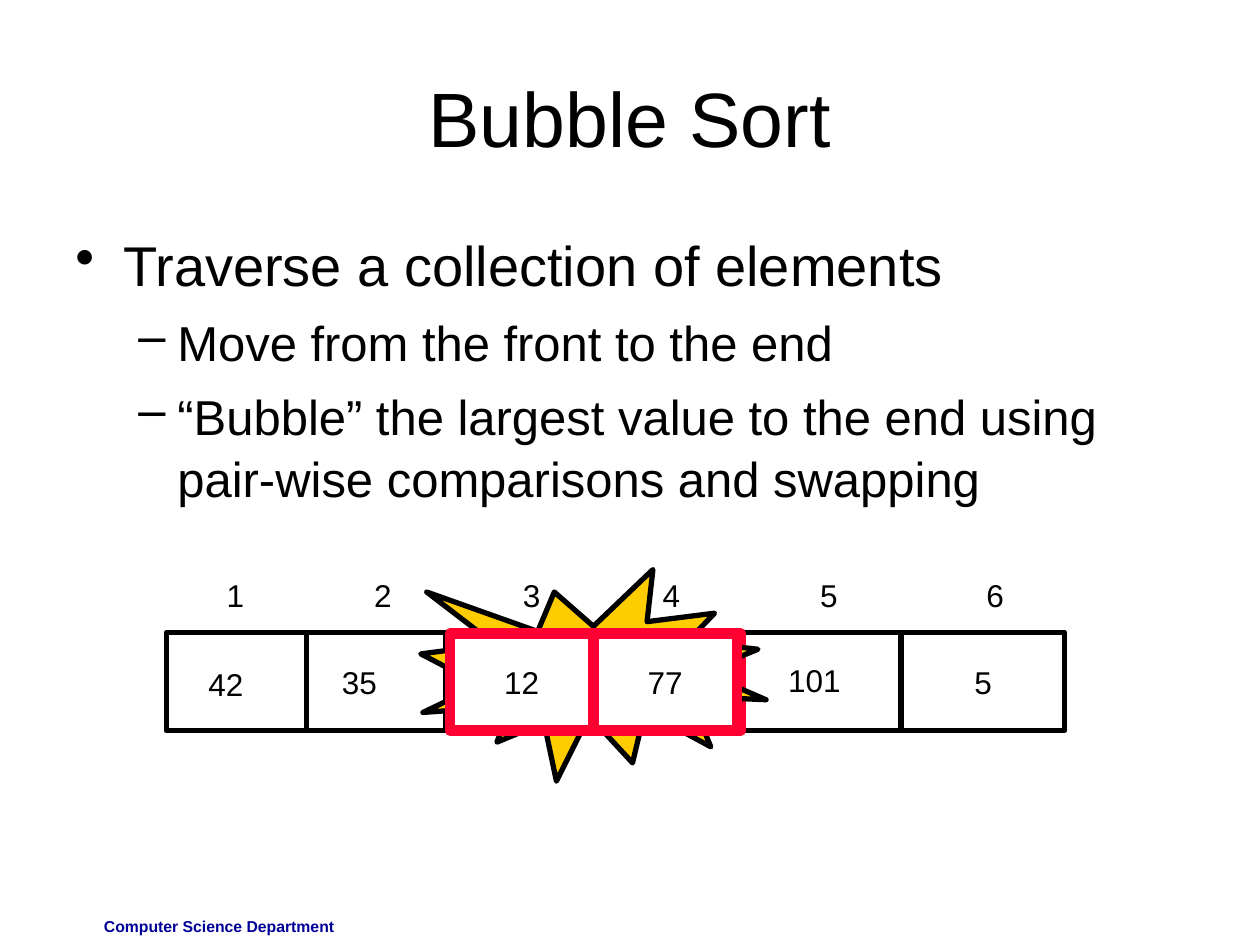
from lxml import etree
from pptx import Presentation
from pptx.dml.color import RGBColor
from pptx.enum.shapes import MSO_CONNECTOR, MSO_SHAPE
from pptx.enum.text import MSO_ANCHOR, PP_ALIGN
from pptx.oxml.ns import qn
from pptx.util import Inches, Pt

LEFT, CENTER, RIGHT = PP_ALIGN.LEFT, PP_ALIGN.CENTER, PP_ALIGN.RIGHT
MIDDLE = MSO_ANCHOR.MIDDLE
RECTANGLE, BURST = MSO_SHAPE.RECTANGLE, MSO_SHAPE.EXPLOSION1
STRAIGHT = MSO_CONNECTOR.STRAIGHT

COLORS = {"ink": "000000", "paper": "FFFFFF", "footer": "000099",
          "burst": "FFCC00", "swap": "FF0033"}
FONT = "Arial"

# Array geometry in inches: cell edges from left to right
EDGES = [1.32, 2.43, 3.54, 4.68, 5.89, 7.15, 8.45]
ARRAY_TOP, ARRAY_HEIGHT = 5.02, 0.78
# Right edge, top and text of each loose value
VALUES = [(2.03, 5.23, "42"), (3.09, 5.21, "35"),
          (6.77, 5.2, "101"), (7.97, 5.21, "5")]
INDEX_TABS = [1.24, 2.42, 3.53, 4.78, 6.1]

# Level: size, text indent, bullet offset, space before, bullet
LEVELS = [(32, 0.38, -0.38, 0, "•"), (28, 0.81, -0.31, 7, "–")]
BULLETS = [
    (0, "Traverse a collection of elements"),
    (1, "Move from the front to the end"),
    (1, "“Bubble” the largest value to the end using pair-wise comparisons "
        "and swapping"),
]


def color(name):
    return RGBColor.from_string(COLORS[name])


def style(para, size, align=LEFT, ink="ink", bold=False):
    para.alignment = align
    para.font.name = FONT
    para.font.size = Pt(size)
    para.font.bold = bold
    para.font.color.rgb = color(ink)


def place(shape, box):
    shape.left, shape.top, shape.width, shape.height = map(Inches, box)


def add_text(page, box, text, size, align=LEFT, ink="ink", bold=False):
    frame = page.shapes.add_textbox(*map(Inches, box)).text_frame
    frame.word_wrap = True
    frame.text = text
    style(frame.paragraphs[0], size, align, ink, bold)
    return frame


def add_outlined(shapes, kind, box, line, weight, fill=None, text=""):
    shape = shapes.add_shape(kind, *map(Inches, box))
    shape.shadow.inherit = False
    shape.line.color.rgb = color(line)
    shape.line.width = Pt(weight)
    if fill:
        shape.fill.solid()
        shape.fill.fore_color.rgb = color(fill)
    else:
        shape.fill.background()
    if text:
        shape.text_frame.text = text
        shape.text_frame.vertical_anchor = MIDDLE
        style(shape.text_frame.paragraphs[0], 18, CENTER)


def add_title(page, box):
    title = page.shapes.title
    place(title, box)
    title.text_frame.text = "Bubble Sort"
    title.text_frame.vertical_anchor = MIDDLE
    style(title.text_frame.paragraphs[0], 44, CENTER)


def add_body(page, box):
    frame = page.shapes.add_textbox(*map(Inches, box)).text_frame
    frame.word_wrap = True
    for number, (level, text) in enumerate(BULLETS):
        size, margin, offset, before, mark = LEVELS[level]
        para = frame.add_paragraph() if number else frame.paragraphs[0]
        para.text = text
        para.level = level
        para.line_spacing = 1.05
        para.space_before = Pt(before)
        props = para._p.get_or_add_pPr()
        props.set("marL", str(Inches(margin)))
        props.set("indent", str(Inches(offset)))
        etree.SubElement(props, qn("a:buChar")).set("char", mark)
        style(para, size)


def add_array(page, top, height):
    # Frame and cell dividers
    add_outlined(page.shapes, RECTANGLE,
                 (EDGES[0], top, EDGES[-1] - EDGES[0], height), "ink", 3)
    for edge in EDGES[1:-1]:
        divider = page.shapes.add_connector(
            STRAIGHT, Inches(edge), Inches(top),
            Inches(edge), Inches(top + height))
        divider.line.color.rgb = color("ink")
        divider.line.width = Pt(3)
        etree.SubElement(divider._element.spPr, qn("a:effectLst"))

    # Values outside the compared pair
    for right, value_top, value in VALUES:
        add_text(page, (right - 0.7, value_top, 0.7, 0.4), value, 18, RIGHT)


def add_indexes(page, box):
    para = add_text(page, box, "\t".join("123456"), 18).paragraphs[0]
    tabs = etree.Element(qn("a:tabLst"))
    for stop in INDEX_TABS:
        tab = etree.SubElement(tabs, qn("a:tab"))
        tab.set("pos", str(Inches(stop)))
        tab.set("algn", "ctr")
    props = para._p.get_or_add_pPr()
    props.insert(0, tabs)


def add_swap(page, box):
    left, top, width, height = box
    # Frame of the right cell, then the burst over it
    add_outlined(page.shapes, RECTANGLE, (EDGES[3], top, 1.2, height),
                 "swap", 6)
    add_outlined(page.shapes, BURST, (3.34, 4.52, 2.74, 1.68),
                 "ink", 3, "burst")
    # Compared pair in front
    pair = page.shapes.add_group_shape()
    cell = width / 2
    for column, value in enumerate(("12", "77")):
        add_outlined(pair.shapes, RECTANGLE,
                     (left + column * cell, top, cell, height),
                     "swap", 6, "paper", value)


def main():
    deck = Presentation()
    deck.slide_width, deck.slide_height = Inches(10), Inches(7.5)
    page = deck.slides.add_slide(deck.slide_layouts[5])
    page.background.fill.solid()
    page.background.fill.fore_color.rgb = color("paper")

    add_text(page, (0.42, 7.23, 2.33, 0.27), "Computer Science Department",
             9, RIGHT, "footer", True)
    add_title(page, (0.5, 0.3, 9, 1.25))
    add_body(page, (0.5, 1.75, 9, 4.95))
    add_array(page, ARRAY_TOP, ARRAY_HEIGHT)
    add_indexes(page, (1.7, 4.52, 6.39, 0.4))
    add_swap(page, (3.57, 5.03, 2.28, 0.77))
    deck.save("out.pptx")


if __name__ == "__main__":
    main()
